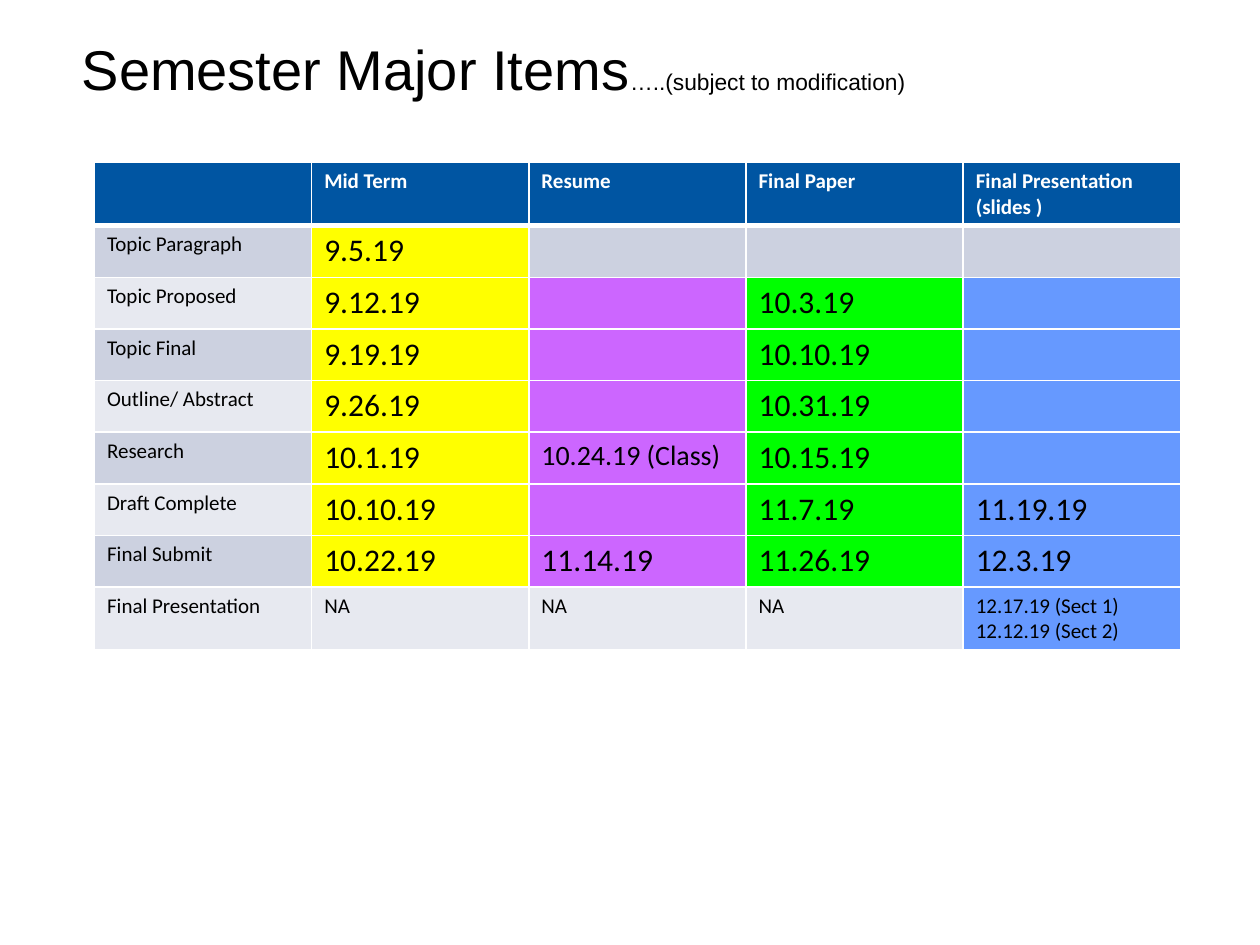
import dataclasses
import typing

import lxml.etree
import pptx
import pptx.dml.color
import pptx.enum.text
import pptx.oxml.ns
import pptx.util

Inches = pptx.util.Inches
Pt = pptx.util.Pt


@dataclasses.dataclass(frozen=True)
class Theme:
    title_font: str = "Arial"
    table_font: str = "Calibri"
    title_size: int = 32
    note_size: int = 13
    label_size: int = 12
    class_size: int = 16
    date_size: int = 18
    black: str = "000000"
    white: str = "FFFFFF"
    header: str = "0055A2"
    bands: tuple[str, str] = ("CCD1E0", "E7E9F0")
    mid_term: str = "FFFF00"
    resume: str = "CC66FF"
    paper: str = "00FF00"
    slides: str = "6699FF"
    line: int = 1
    header_line: int = 3


THEME = Theme()


@dataclasses.dataclass(frozen=True)
class Milestone:
    label: str
    dates: tuple[str, str, str, str]
    colored: tuple[bool, bool, bool, bool] = (True, True, True, True)
    size: int = THEME.date_size


HEADINGS = ("", "Mid Term", "Resume", "Final Paper", "Final Presentation (slides )")
COLUMN_FILLS = (THEME.mid_term, THEME.resume, THEME.paper, THEME.slides)
MILESTONES = (
    Milestone("Topic Paragraph", ("9.5.19", "", "", ""), (True, False, False, False)),
    Milestone("Topic Proposed", ("9.12.19", "", "10.3.19", "")),
    Milestone("Topic Final", ("9.19.19", "", "10.10.19", "")),
    Milestone("Outline/ Abstract", ("9.26.19", "", "10.31.19", "")),
    Milestone("Research", ("10.1.19", "10.24.19 (Class)", "10.15.19", "")),
    Milestone("Draft Complete", ("10.10.19", "", "11.7.19", "11.19.19")),
    Milestone("Final Submit", ("10.22.19", "11.14.19", "11.26.19", "12.3.19")),
    Milestone(
        "Final Presentation",
        ("NA", "NA", "NA", "12.17.19 (Sect 1)\n12.12.19 (Sect 2)"),
        (False, False, False, True),
        THEME.label_size,
    ),
)


def style_font(font: typing.Any, name: str, size: int, color: str, bold: bool = False) -> None:
    font.name = name
    font.size = Pt(size)
    font.bold = bold
    font.color.rgb = pptx.dml.color.RGBColor.from_string(color)


def add_title(s: typing.Any) -> None:
    box = s.shapes.add_textbox(Inches(0.55), Inches(0.09), Inches(8.62), Inches(0.97))
    tf = box.text_frame
    tf.word_wrap = True
    tf.vertical_anchor = pptx.enum.text.MSO_ANCHOR.MIDDLE
    p = tf.paragraphs[0]
    p.line_spacing = 0.9
    parts = (
        ("Semester Major Items", THEME.title_size),
        ("…..(subject to modification)", THEME.note_size),
    )
    for text, size in parts:
        r = p.add_run()
        r.text = text
        style_font(r.font, THEME.title_font, size, THEME.black)


def add_borders(cell: typing.Any, top: int, bottom: int) -> None:
    qn = pptx.oxml.ns.qn
    properties = cell._tc.get_or_add_tcPr()
    widths = {"L": THEME.line, "R": THEME.line, "T": top, "B": bottom}
    for side, width in widths.items():
        line = lxml.etree.SubElement(properties, qn(f"a:ln{side}"), w=str(Pt(width)))
        fill = lxml.etree.SubElement(line, qn("a:solidFill"))
        lxml.etree.SubElement(fill, qn("a:srgbClr"), val=THEME.white)


def fill_cell(
    cell: typing.Any,
    text: str,
    fill: str,
    size: int,
    color: str = THEME.black,
    bold: bool = False,
    top: int = THEME.line,
    bottom: int = THEME.line,
) -> None:
    add_borders(cell, top, bottom)
    cell.fill.solid()
    cell.fill.fore_color.rgb = pptx.dml.color.RGBColor.from_string(fill)
    cell.text_frame.text = text
    for p in cell.text_frame.paragraphs:
        style_font(p.font, THEME.table_font, size, color, bold)
        for r in p.runs:
            style_font(r.font, THEME.table_font, size, color, bold)


def add_schedule(s: typing.Any) -> None:
    rows, columns = len(MILESTONES) + 1, len(HEADINGS)
    frame = s.shapes.add_table(
        rows, columns, Inches(0.75), Inches(1.29), Inches(8.62), Inches(0.41 * rows)
    )
    table = frame.table
    for j, heading in enumerate(HEADINGS):
        fill_cell(
            table.cell(0, j), heading, THEME.header, THEME.label_size,
            THEME.white, True, bottom=THEME.header_line,
        )
    for i, item in enumerate(MILESTONES, 1):
        band = THEME.bands[(i - 1) % 2]
        top = THEME.header_line if i == 1 else THEME.line
        fill_cell(table.cell(i, 0), item.label, band, THEME.label_size, top=top)
        entries = zip(item.dates, item.colored, COLUMN_FILLS)
        for j, (date, colored, column_fill) in enumerate(entries, 1):
            size = THEME.class_size if "Class" in date else item.size
            fill = column_fill if colored else band
            fill_cell(table.cell(i, j), date, fill, size, top=top)


def main() -> None:
    prs = pptx.Presentation()
    prs.slide_width, prs.slide_height = Inches(10), Inches(7.5)
    s = prs.slides.add_slide(prs.slide_layouts[6])
    add_title(s)
    add_schedule(s)
    prs.save("out.pptx")


if __name__ == "__main__":
    main()
